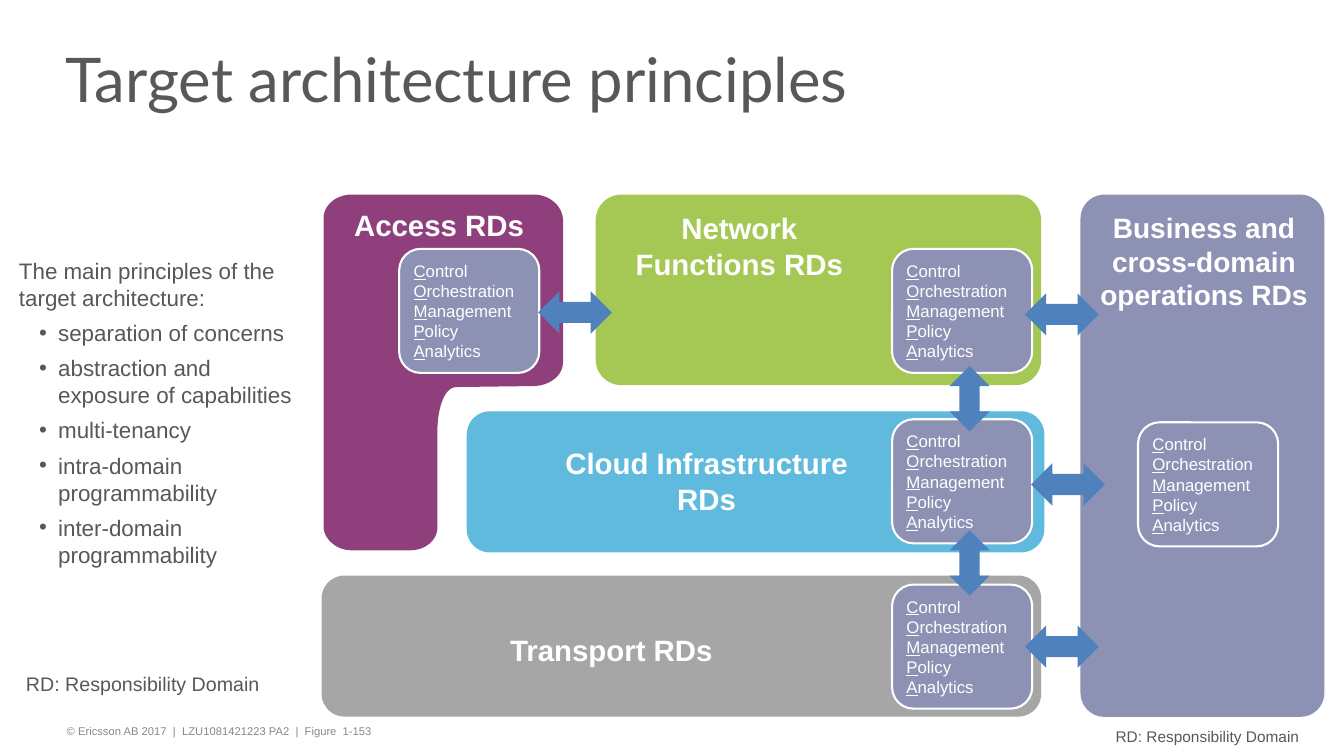
from lxml.etree import SubElement
from pptx import Presentation
from pptx.dml.color import RGBColor
from pptx.enum.shapes import MSO_SHAPE
from pptx.enum.text import MSO_ANCHOR, PP_ALIGN
from pptx.oxml.ns import qn
from pptx.util import Pt

WHITE = RGBColor(0xFF, 0xFF, 0xFF)
DARK = RGBColor(0x58, 0x58, 0x5A)
FOOTER_GRAY = RGBColor(0x87, 0x88, 0x8A)
PURPLE = RGBColor(0x8F, 0x3F, 0x7B)
GREEN = RGBColor(0xA5, 0xC7, 0x53)
GRAY = RGBColor(0xA6, 0xA6, 0xA6)
SKY = RGBColor(0x5F, 0xBA, 0xDD)
LAVENDER = RGBColor(0x8D, 0x92, 0xB4)
BLUE = RGBColor(0x4F, 0x81, 0xBD)

prs = Presentation()
prs.slide_width, prs.slide_height = Pt(960), Pt(540)
slide = prs.slides.add_slide(prs.slide_layouts[6])


def add_block(kind, left, top, width, height, color, radius=None):
    block = slide.shapes.add_shape(kind, Pt(left), Pt(top), Pt(width), Pt(height))
    block.shadow.inherit = False
    block.fill.solid()
    block.fill.fore_color.rgb = color
    block.line.fill.background()
    if radius:
        block.adjustments[0] = radius
    return block


def add_label(text, left, top, width, height, size, color=DARK, bold=False,
              align=PP_ALIGN.LEFT, font="Arial", insets=(7.2, 3.6), wrap=True):
    frame = slide.shapes.add_textbox(Pt(left), Pt(top), Pt(width), Pt(height)).text_frame
    frame.word_wrap = wrap
    frame.margin_left = frame.margin_right = Pt(insets[0])
    frame.margin_top = frame.margin_bottom = Pt(insets[1])
    line = frame.paragraphs[0]
    line.alignment = align
    run = line.add_run()
    run.text = text
    run.font.name, run.font.size, run.font.bold = font, Pt(size), bold
    run.font.color.rgb = color
    return frame


add_label("© Ericsson AB 2017  |  LZU1081421223 PA2  |  Figure  1-153",
          41.8, 514.1, 776.9, 17.3, 8, FOOTER_GRAY, insets=(5.8, 3.6))

access_curves = [
    [(398.9, 139), (411.1, 139), (399.6 + 0, 147.6), (399.6, 157.7)],
    [(399.6, 258.5), (399.6, 268.6), (391.7, 275.8), (380.2, 275.8)],
    [(326.2, 276.5), (315.4, 276.5), (312.5, 297.4), (312.5, 306.7)],
    [(312.5, 376.6), (312.5, 385.9), (303.8, 393.1), (293, 393.1)],
    [(251.3, 393.1), (240.5, 393.1), (231.1, 385.2), (231.1, 375.8)],
    [(231.1, 156.2), (231.1, 146.2), (240.5, 139), (251.3, 139)],
]
access_curves[0] = [(381.2, 139), (393, 139), (402.2, 147.6), (402.2, 157.7)]
access_curves[1] = [(402.2, 258.5), (402.2, 268.6), (392.5, 275.8), (380.2, 275.8)]
outline = []
for a, b, c, d in access_curves:
    for step in range(17):
        t = step / 16
        weights = ((1 - t) ** 3, 3 * t * (1 - t) ** 2, 3 * t * t * (1 - t), t ** 3)
        outline.append(tuple(
            Pt(sum(w * p[axis] for w, p in zip(weights, (a, b, c, d)))) for axis in (0, 1)))
builder = slide.shapes.build_freeform(*outline[0])
builder.add_line_segments(outline[1:], close=True)
access = builder.convert_to_shape()
access.shadow.inherit = False
access.fill.solid()
access.fill.fore_color.rgb = PURPLE
access.line.fill.background()

for left, top, width, height, color, radius in [
    (425.5, 139, 318.2, 136.1, GREEN, 0.134),
    (229.7, 411.1, 514.1, 100.8, GRAY, 0.164),
    (333.4, 293.8, 412.6, 100.8, SKY, 0.164),
    (771.8, 139, 174.2, 373, LAVENDER, 0.098),
]:
    add_block(MSO_SHAPE.ROUNDED_RECTANGLE, left, top, width, height, color, radius)

for name, left, top, width, height, size in [
    ("Access RDs", 229.7, 142.6, 167.8, 35.3, 21),
    ("Network Functions RDs", 433.4, 145.4, 189.4, 61.2, 21),
    ("Cloud Infrastructure RDs", 379.4, 313.2, 250.6, 61.2, 21),
    ("Transport RDs", 248.4, 446.4, 376.6, 35.3, 21),
    ("Business and cross-domain operations RDs", 774, 145.4, 172.1, 82.1, 20),
]:
    add_label(name, left, top, width, height, size, WHITE, True, PP_ALIGN.CENTER, insets=(9.4, 5))

title = add_label("Target architecture principles", 41, 18.7, 837.4, 85.7, 44,
                  font="Lato", insets=(5.8, 0))
title.vertical_anchor = MSO_ANCHOR.MIDDLE
title.paragraphs[0].line_spacing = 0.75

capabilities = ["Control", "Orchestration", "Management", "Policy", "Analytics"]
for left, top in [(637.2, 177.8), (285.1, 177.8), (637.2, 299.5), (637.2, 417.6), (812.9, 301.7)]:
    compa = add_block(MSO_SHAPE.ROUNDED_RECTANGLE, left, top, 100.1, 88.6, LAVENDER, 0.173)
    compa.line.color.rgb = WHITE
    compa.line.width = Pt(1.5)
    frame = compa.text_frame
    frame.word_wrap = True
    frame.vertical_anchor = MSO_ANCHOR.MIDDLE
    frame.margin_left = frame.margin_right = Pt(5.8)
    frame.margin_top = frame.margin_bottom = Pt(2.9)
    line = frame.paragraphs[0]
    line.alignment = PP_ALIGN.LEFT
    for index, capability in enumerate(capabilities):
        if index:
            line.add_line_break()
        for part, underlined in ((capability[0], True), (capability[1:], False)):
            run = line.add_run()
            run.text = part
            run.font.name, run.font.size, run.font.underline = "Arial", Pt(12), underlined
            run.font.color.rgb = WHITE

for left, top in [(736.6, 331), (732.2, 209.5), (732.2, 446.8), (384.5, 208.1)]:
    add_block(MSO_SHAPE.LEFT_RIGHT_ARROW, left, top, 52.6, 30.2, BLUE)
for top in (261.4, 378.7):
    add_block(MSO_SHAPE.UP_DOWN_ARROW, 678.2, top, 28.8, 46.8, BLUE)

principles = add_label("The main principles of the target architecture:", 6.5, 180, 213.8, 264.2, 16)
for principle in [
    "separation of concerns",
    "abstraction and exposure of capabilities",
    "multi-tenancy",
    "intra-domain programmability",
    "inter-domain programmability",
]:
    item = principles.add_paragraph()
    properties = item._p.get_or_add_pPr()
    properties.set("marL", str(Pt(28)))
    properties.set("indent", str(-Pt(13.7)))
    SubElement(properties, qn("a:buFont")).set("typeface", "Arial")
    SubElement(properties, qn("a:buChar")).set("char", "•")
    item.level = 1
    item.space_before = Pt(6)
    run = item.add_run()
    run.text = principle
    run.font.name, run.font.size = "Arial", Pt(16)
    run.font.color.rgb = DARK

for left, top, width, height, size in [(789.8, 515.5, 146.9, 20.9, 11), (11.5, 476.6, 182.2, 24.5, 14)]:
    add_label("RD: Responsibility Domain", left, top, width, height, size, wrap=False)

prs.save("out.pptx")
